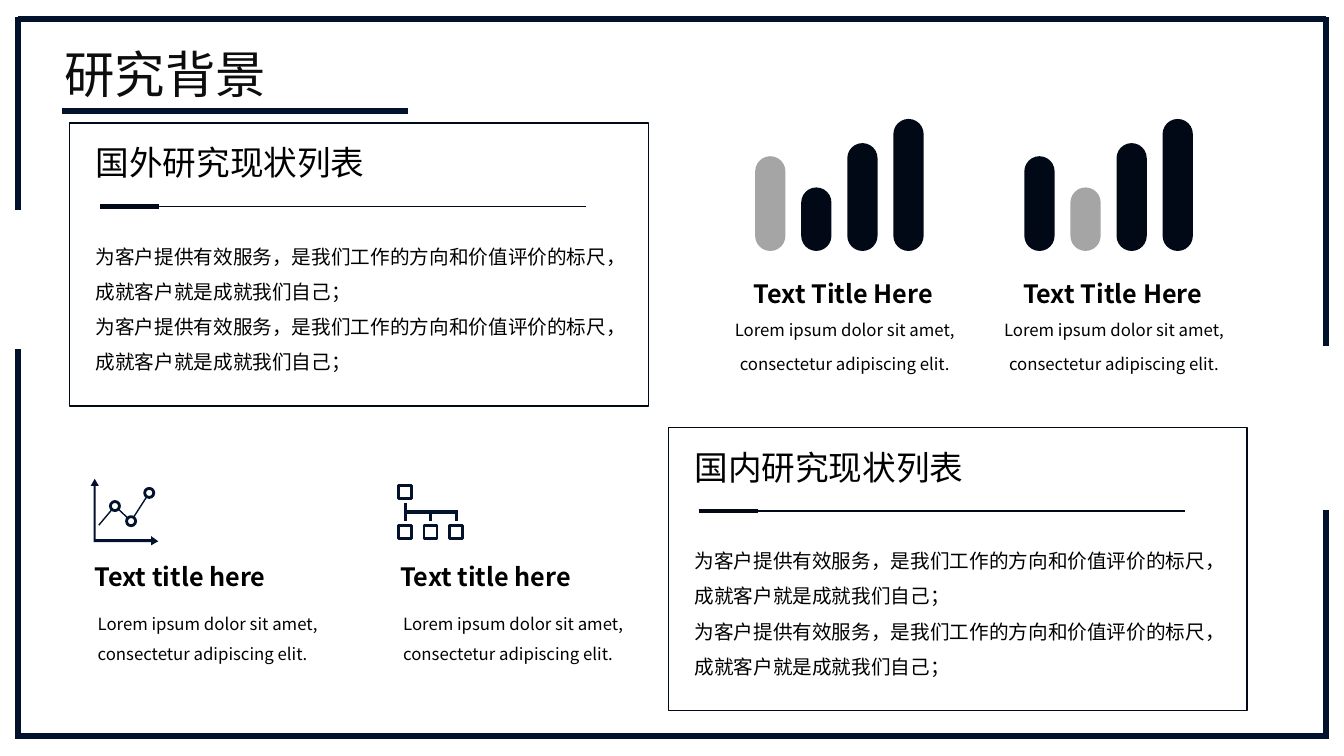
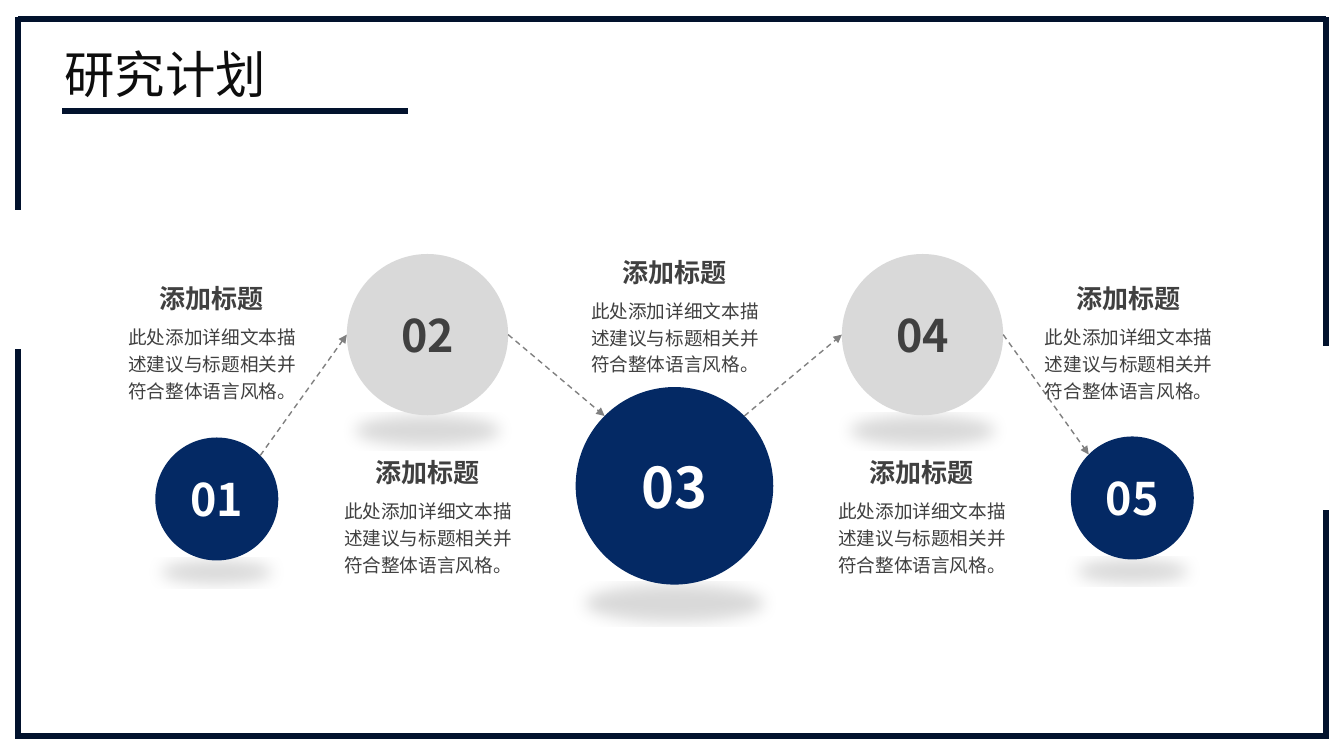
import math

import pptx
import pptx.dml.color
import pptx.enum.dml
import pptx.enum.shapes
import pptx.enum.text
import pptx.oxml.ns
import pptx.util
from lxml import etree

Inches, Pt = pptx.util.Inches, pptx.util.Pt
qn = pptx.oxml.ns.qn
SHAPE = pptx.enum.shapes.MSO_SHAPE
ALIGN = pptx.enum.text.PP_ALIGN
MIDDLE = pptx.enum.text.MSO_ANCHOR.MIDDLE

# Shared style
FONT = "Noto Sans CJK SC"
NAVY, INK, BLUE = "02122D", "010916", "042964"
SILVER, PALE, GREY, DARK = "A5A5A5", "D9D9D9", "808080", "404040"
BLACK, WHITE, TITLE_INK = "000000", "FFFFFF", "0D0D0D"
FRAME = [
    ((0.18, 0.19), (13.15, 0.19)), ((0.18, 0.17), (0.18, 2.08)),
    ((13.15, 0.17), (13.15, 3.43)), ((13.16, 7.3), (0.18, 7.3)),
    ((13.15, 7.33), (13.15, 5.06)), ((0.18, 7.33), (0.18, 3.46)),
    ((0.62, 1.1), (4.05, 1.1)),
]

# Background slide
STATEMENT = "为客户提供有效服务，是我们工作的方向和价值评价的标尺，成就客户就是成就我们自己；"
PANELS = [("国外研究现状列表", 0.69, 1.22), ("国内研究现状列表", 6.63, 4.24)]
LOREM = "Lorem ipsum dolor sit amet, consectetur adipiscing elit."
BAR_HEIGHTS = [0.94, 0.63, 1.07, 1.31]
BAR_GROUPS = [("Text Title Here", 7.49, 0), ("Text Title Here", 10.16, 1)]
ICON_NOTES = [("Text title here", 0.84), ("Text title here", 3.87)]
AXES = [
    (0.94, 4.75), (0.98, 4.82), (0.95, 4.82), (0.95, 5.35), (1.5, 5.35),
    (1.5, 5.32), (1.57, 5.37), (1.5, 5.41), (1.5, 5.38), (0.93, 5.38),
    (0.93, 4.82), (0.9, 4.82),
]
TREND = [(0.98, 5.21), (1.14, 5.02), (1.3, 5.17), (1.48, 4.89)]
TREE_BOXES = [(4.02, 4.88), (4.02, 5.28), (4.27, 5.28), (4.52, 5.28)]
TREE_LINES = [
    ((4.02, 4.99), (4.02, 5.17), 2), ((4.27, 5.08), (4.27, 5.17), 2),
    ((4.53, 5.08), (4.53, 5.17), 2), ((4.02, 5.08), (4.54, 5.08), 2.8),
]

# Plan slide: number, centre x, centre y, diameter, size, fill, ink, text centre, text top
STEPS = [
    ("01", 2.15, 4.95, 1.22, 32, BLUE, WHITE, 2.10, 2.75),
    ("02", 4.24, 3.32, 1.6, 32, PALE, DARK, 4.24, 4.48),
    ("03", 6.69, 4.82, 1.96, 40, BLUE, WHITE, 6.69, 2.49),
    ("04", 9.15, 3.32, 1.6, 32, PALE, DARK, 9.14, 4.48),
    ("05", 11.23, 4.94, 1.22, 32, BLUE, WHITE, 11.19, 2.75),
]
STEP_TITLE = "添加标题"
STEP_TEXT = "此处添加详细文本描述建议与标题相关并符合整体语言风格。"


def rgb(value):
    return pptx.dml.color.RGBColor.from_string(value)


def write(frame, paragraphs, size, colour=BLACK, bold=False,
          align=ALIGN.LEFT, spacing=None):
    """Fill a text frame with equally formatted paragraphs."""
    frame.word_wrap = True
    for index, text in enumerate(paragraphs):
        para = frame.add_paragraph() if index else frame.paragraphs[0]
        para.alignment = align
        if spacing:
            para.line_spacing = spacing
        span = para.add_run()
        span.text = text
        span.font.size = Pt(size)
        span.font.bold = bold
        span.font.color.rgb = rgb(colour)
        span.font.name = FONT
        east_asian = etree.SubElement(span.font._element, qn("a:ea"))
        east_asian.set("typeface", FONT)


def add_text(page, left, top, width, height, paragraphs, size, **style):
    box = page.shapes.add_textbox(*map(Inches, (left, top, width, height)))
    write(box.text_frame, paragraphs, size, **style)


def paint(shape, fill=None, line=None, weight=1):
    shape.shadow.inherit = False
    if fill:
        shape.fill.solid()
        shape.fill.fore_color.rgb = rgb(fill)
    else:
        shape.fill.background()
    if line:
        shape.line.color.rgb = rgb(line)
        shape.line.width = Pt(weight)
    else:
        shape.line.fill.background()


def add_shape(page, kind, left, top, width, height, **style):
    shape = page.shapes.add_shape(kind, *map(Inches, (left, top, width, height)))
    paint(shape, **style)
    return shape


def add_centred(page, kind, centre, size, **style):
    x, y = centre
    return add_shape(page, kind, x - size / 2, y - size / 2, size, size, **style)


def add_line(page, start, end, colour, weight, arrow=False):
    line = page.shapes.add_connector(
        pptx.enum.shapes.MSO_CONNECTOR.STRAIGHT, *map(Inches, (*start, *end)))
    line.line.color.rgb = rgb(colour)
    line.line.width = Pt(weight)
    properties = line.element.spPr
    if arrow:
        line.line.dash_style = pptx.enum.dml.MSO_LINE.DASH
        tail = etree.SubElement(properties.find(qn("a:ln")), qn("a:tailEnd"))
        tail.set("type", "triangle")
    etree.SubElement(properties, qn("a:effectLst"))
    return line


def add_page(deck, layout, title):
    page = deck.slides.add_slide(layout)
    heading = page.shapes.title
    heading.left, heading.top, heading.width, heading.height = map(
        Inches, (0.64, 0.42, 3.03, 0.62))
    frame = heading.text_frame
    frame.auto_size = pptx.enum.text.MSO_AUTO_SIZE.NONE
    frame.vertical_anchor = MIDDLE
    frame.margin_left = frame.margin_right = frame.margin_top = frame.margin_bottom = 0
    write(frame, [title], 36, TITLE_INK)
    return page


def move_frame_to_layout(page, layout):
    """Draw the frame and title rule once, on the shared layout."""
    for number, (start, end) in enumerate(FRAME, 100):
        line = add_line(page, start, end, NAVY, 4.5)
        line.element.nvCxnSpPr.cNvPr.set("id", str(number))
        layout.shapes.element.append(line.element)


def add_panel(page, title, left, top):
    add_shape(page, SHAPE.RECTANGLE, left, top, 5.74, 2.81, line=INK)
    add_text(page, left + 0.16, top + 0.14, 3.55, 0.5, [title], 24)
    rule_left, rule_top = left + 0.3, top + 0.83
    for length, weight in ((4.82, 1), (0.59, 3)):
        add_line(page, (rule_left, rule_top), (rule_left + length, rule_top), INK, weight)
    add_text(page, left + 0.16, top + 1.04, 5.43, 1.48, [STATEMENT] * 2, 14, spacing=1.5)


def add_bar_group(page, title, left, highlighted):
    for index, height in enumerate(BAR_HEIGHTS):
        bar = add_shape(page, SHAPE.ROUNDED_RECTANGLE, left + index * 0.457,
                        2.49 - height, 0.3, height,
                        fill=SILVER if index == highlighted else INK)
        bar.adjustments[0] = 0.5
    add_text(page, left - 0.2, 2.71, 2.15, 0.4, [title], 18, bold=True, align=ALIGN.CENTER)
    add_text(page, left - 0.76, 2.99, 3.3, 0.74, [LOREM], 12,
             align=ALIGN.CENTER, spacing=Pt(24))


def add_trend_icon(page):
    points = [tuple(map(Inches, point)) for point in AXES]
    builder = page.shapes.build_freeform(*points[0], scale=1.0)
    builder.add_line_segments(points[1:], close=True)
    paint(builder.convert_to_shape(), fill=NAVY)
    for start, end in zip(TREND, TREND[1:]):
        add_line(page, start, end, NAVY, 1)
    for centre in TREND[1:]:
        add_centred(page, SHAPE.OVAL, centre, 0.09, fill=WHITE, line=NAVY, weight=2)


def add_tree_icon(page):
    for centre in TREE_BOXES:
        add_centred(page, SHAPE.RECTANGLE, centre, 0.13, line=NAVY, weight=2)
    for start, end, weight in TREE_LINES:
        add_line(page, start, end, NAVY, weight)


def build_background(page):
    for panel in PANELS:
        add_panel(page, *panel)
    for group in BAR_GROUPS:
        add_bar_group(page, *group)
    for title, left in ICON_NOTES:
        add_text(page, left, 5.52, 2.38, 0.4, [title], 18, bold=True)
        add_text(page, left + 0.03, 5.93, 2.99, 0.71, [LOREM], 12, spacing=Pt(22))
    add_trend_icon(page)
    add_tree_icon(page)


def add_floor_shadow(shape):
    """Cast a soft, flattened shadow below the shape."""
    effects = shape.element.spPr.find(qn("a:effectLst"))
    shadow = etree.SubElement(effects, qn("a:outerShdw"), {
        "blurRad": str(Pt(12)), "dist": "0", "dir": "5400000",
        "sx": "90000", "sy": "-19000", "rotWithShape": "0"})
    colour = etree.SubElement(shadow, qn("a:srgbClr"), {"val": BLACK})
    etree.SubElement(colour, qn("a:alpha"), {"val": "15000"})


def link_point(step, side):
    """Pale circles link at their sides, blue ones at their upper diagonals."""
    _, x, y, diameter, _, fill, *_ = step
    angle = 0 if fill == PALE else math.pi / 4
    radius = diameter / 2
    return x + side * radius * math.cos(angle), y - radius * math.sin(angle)


def build_plan(page):
    for number, x, y, diameter, size, fill, ink, _, _ in STEPS:
        circle = add_centred(page, SHAPE.OVAL, (x, y), diameter, fill=fill)
        add_floor_shadow(circle)
        frame = circle.text_frame
        frame.vertical_anchor = MIDDLE
        frame.margin_left = frame.margin_right = frame.margin_top = frame.margin_bottom = 0
        write(frame, [number], size, ink, bold=True, align=ALIGN.CENTER)
    for step, following in zip(STEPS, STEPS[1:]):
        add_line(page, link_point(step, 1), link_point(following, -1), GREY, 1, arrow=True)
    for *_, centre, top in STEPS:
        add_text(page, centre - 1, top + 0.39, 2.01, 0.89, [STEP_TEXT], 13.3,
                 colour=DARK, align=ALIGN.CENTER, spacing=1.2)
        add_text(page, centre - 0.7, top, 1.4, 0.42, [STEP_TITLE], 18.6,
                 colour=DARK, bold=True, align=ALIGN.CENTER)


def main():
    deck = pptx.Presentation()
    deck.slide_width, deck.slide_height = Inches(13.33), Inches(7.5)
    layout = deck.slide_layouts.get_by_name("Title Only")
    background = add_page(deck, layout, "研究背景")
    move_frame_to_layout(background, layout)
    build_background(background)
    build_plan(add_page(deck, layout, "研究计划"))
    deck.save("out.pptx")


if __name__ == "__main__":
    main()
